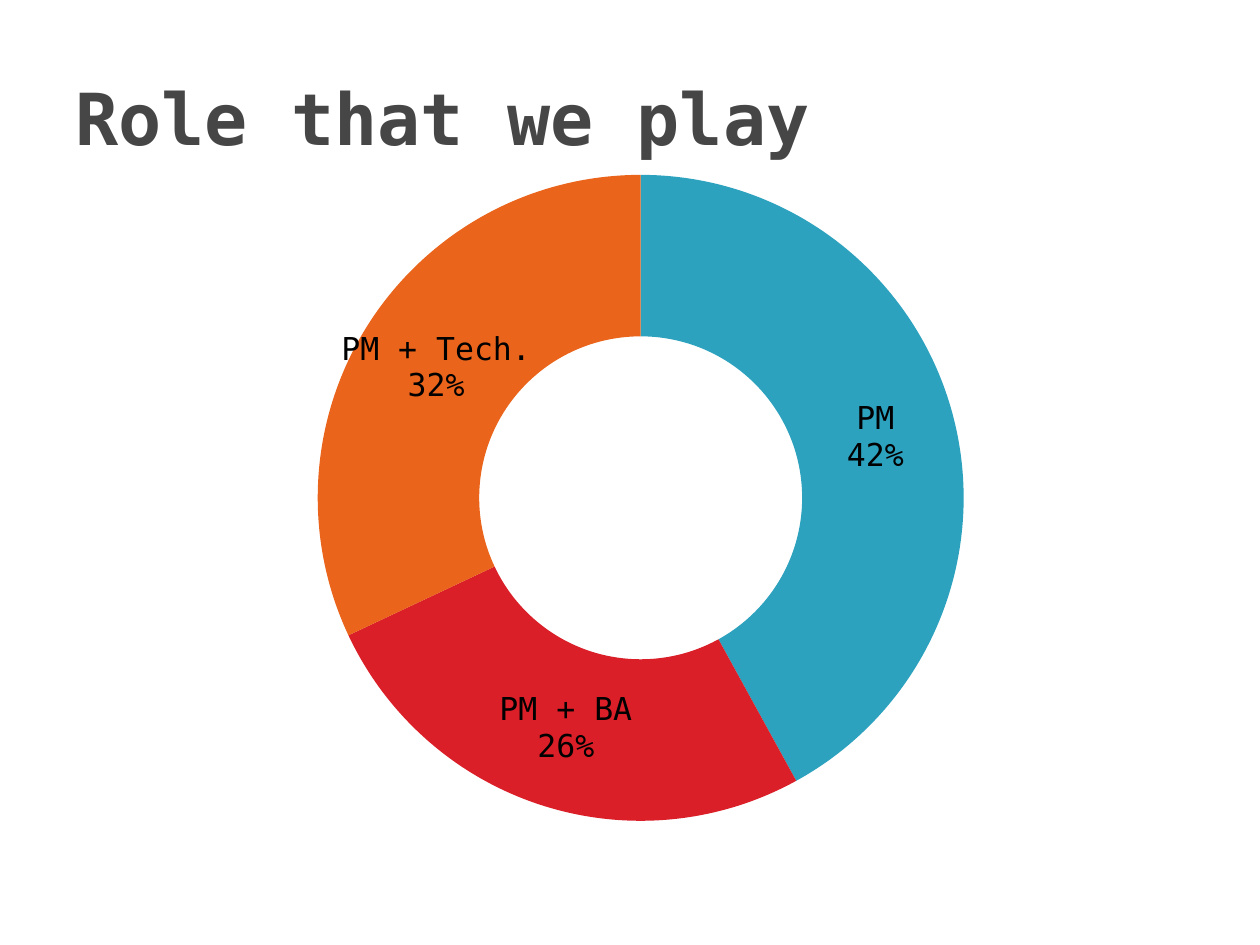
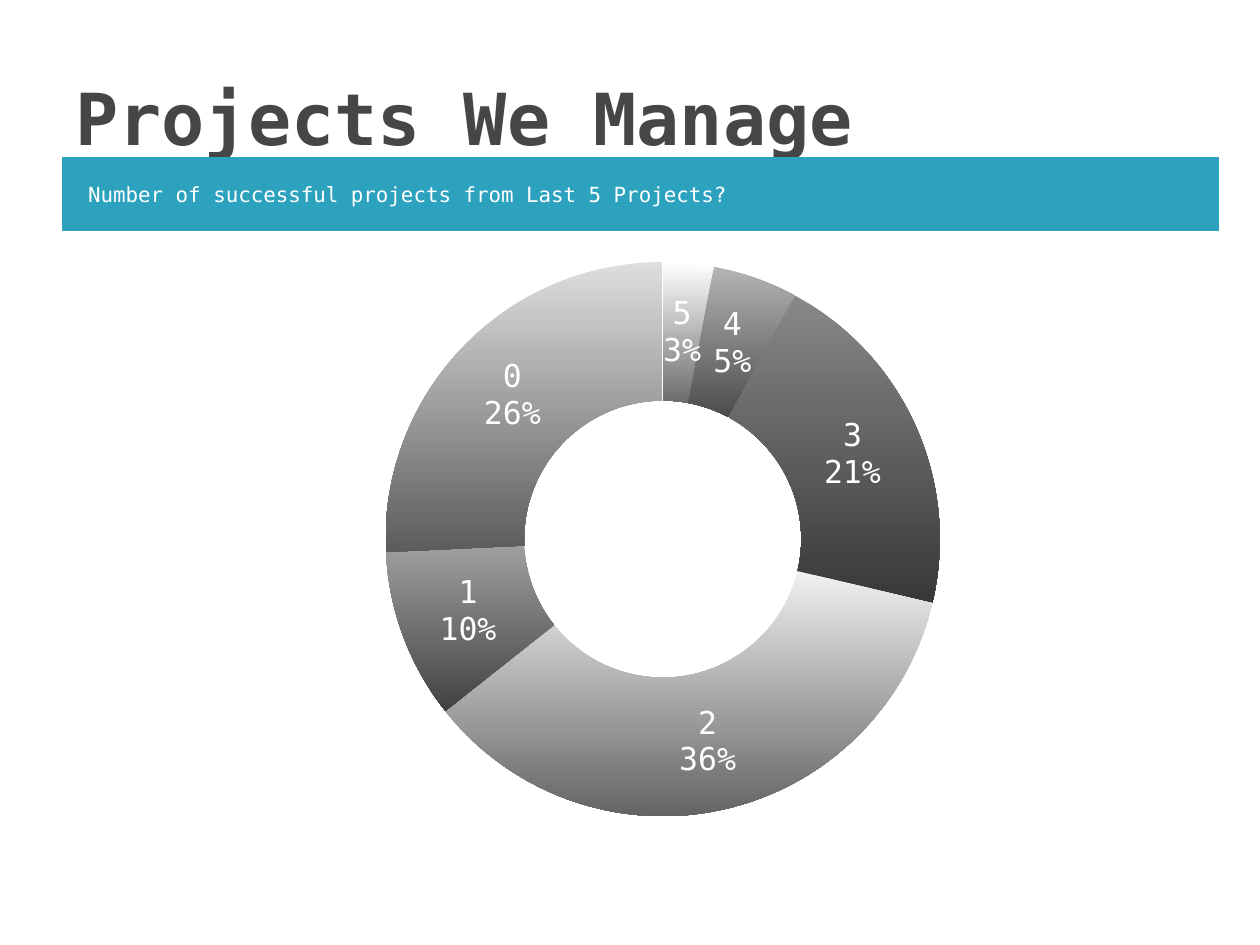
from lxml import etree
from pptx import Presentation
from pptx.chart.data import CategoryChartData
from pptx.dml.color import RGBColor
from pptx.enum.chart import XL_CHART_TYPE
from pptx.enum.shapes import MSO_SHAPE
from pptx.enum.text import MSO_ANCHOR, PP_ALIGN
from pptx.oxml.ns import qn
from pptx.util import Inches, Pt

DOUGHNUT = XL_CHART_TYPE.DOUGHNUT
RECTANGLE = MSO_SHAPE.RECTANGLE
MIDDLE = MSO_ANCHOR.MIDDLE
LEFT = PP_ALIGN.LEFT

FONT = "DejaVu Sans Mono"
TITLE_GREY, TEAL, RED, ORANGE = "464646", "2DA2BF", "DA1F28", "EB641B"
WHITE, BLACK = "FFFFFF", "000000"
TITLE_BOX = (0.5, 0.3, 9, 1.25)

# Category, share in percent, slice colour (a pair runs from top to bottom)
ROLES = [
    ("PM", 42, TEAL),
    ("PM + BA", 26, RED),
    ("PM + Tech.", 32, ORANGE),
]
SUCCESSFUL_PROJECTS = [
    ("5", 3, ("FFFFFF", "6C6C6C")),
    ("4", 5, ("B4B4B4", "4C4C4C")),
    ("3", 21, ("888888", "383838")),
    ("2", 36, ("F0F0F0", "646464")),
    ("1", 10, ("9E9E9E", "424242")),
    ("0", 26, ("DEDEDE", "5C5C5C")),
]


def rgb(hex_colour):
    return RGBColor.from_string(hex_colour)


def inches(box):
    return [Inches(length) for length in box]


def style_font(font, size, colour, bold=False):
    font.name, font.size, font.bold = FONT, Pt(size), bold
    font.color.rgb = rgb(colour)


def write_line(frame, text, size, colour, bold=False):
    """Put one left-aligned, vertically centred line into a text frame."""
    frame.word_wrap = True
    frame.vertical_anchor = MIDDLE
    paragraph = frame.paragraphs[0]
    paragraph.alignment = LEFT
    run = paragraph.add_run()
    run.text = text
    style_font(run.font, size, colour, bold)
    return paragraph


def add_title(slide, text, box=TITLE_BOX):
    title = slide.shapes.add_textbox(*inches(box))
    write_line(title.text_frame, text, 41, TITLE_GREY, bold=True)


def add_question_band(slide, text, box):
    band = slide.shapes.add_shape(RECTANGLE, *inches(box))
    band.shadow.inherit = False
    band.fill.solid()
    band.fill.fore_color.rgb = rgb(TEAL)
    band.line.color.rgb = rgb(TEAL)
    band.line.width = Pt(0.75)
    band.text_frame.margin_left = Inches(0.2)
    question = write_line(band.text_frame, text, 11.9, WHITE)
    question.space_before = Pt(4)


def fill_slice(fill, colour):
    if isinstance(colour, str):
        fill.solid()
        fill.fore_color.rgb = rgb(colour)
        return
    fill.gradient()
    fill.gradient_angle = 270
    for stop, stop_colour in zip(fill.gradient_stops, colour):
        stop.color.rgb = rgb(stop_colour)


def place_ring(chart, ring):
    """Fix the inner plot area, given as fractions of the chart."""
    plot_area = chart.element.find(".//" + qn("c:plotArea"))
    layout = plot_area.find(qn("c:layout"))
    if layout is None:
        layout = etree.Element(qn("c:layout"))
        plot_area.insert(0, layout)
    manual = etree.SubElement(layout, qn("c:manualLayout"))
    settings = [("layoutTarget", "inner"), ("xMode", "edge"), ("yMode", "edge")]
    settings += zip("xywh", ring)
    for tag, value in settings:
        etree.SubElement(manual, qn("c:" + tag)).set("val", str(value))


def label_slices(series, colour):
    """Show the category above its percentage."""
    labels = series.data_labels
    labels.show_value = False
    labels.show_category_name = True
    labels.show_percentage = True
    labels.number_format = "0%"
    labels.number_format_is_linked = False
    style_font(labels.font, 18, colour)
    separator = etree.Element(qn("c:separator"))
    separator.text = "\n"
    labels._element.find(qn("c:showBubbleSize")).addnext(separator)


def add_share_ring(slide, slices, box, label_colour, ring=None):
    names, shares, colours = zip(*slices)
    data = CategoryChartData()
    data.categories = names
    data.add_series("Series 1", shares)
    chart = slide.shapes.add_chart(DOUGHNUT, *inches(box), data).chart
    chart.has_title = False
    chart.has_legend = False
    style_font(chart.font, 18, BLACK)
    plot = chart.plots[0]
    plot.vary_by_categories = True
    series = plot.series[0]
    for index, colour in enumerate(colours):
        slice_format = series.points[index].format
        fill_slice(slice_format.fill, colour)
        slice_format.line.fill.background()
    label_slices(series, label_colour)
    if ring:
        place_ring(chart, ring)


def build_roles_slide(slide):
    add_title(slide, "Role that we play")
    add_share_ring(slide, ROLES, (0.75, 1.25, 8.67, 5.5), BLACK)


def build_projects_slide(slide):
    add_title(slide, "Projects We Manage")
    add_question_band(
        slide,
        "Number of successful projects from Last 5 Projects?",
        (0.5, 1.25, 9.17, 0.58),
    )
    add_share_ring(slide, SUCCESSFUL_PROJECTS, (0.58, 2.08, 8.83, 4.73), WHITE,
                   ring=(0.28, 0, 0.5, 0.93))


def main():
    deck = Presentation()
    deck.slide_width, deck.slide_height = Inches(10), Inches(7.5)
    blank = deck.slide_layouts[6]
    for build in (build_roles_slide, build_projects_slide):
        build(deck.slides.add_slide(blank))
    deck.save("out.pptx")


if __name__ == "__main__":
    main()
